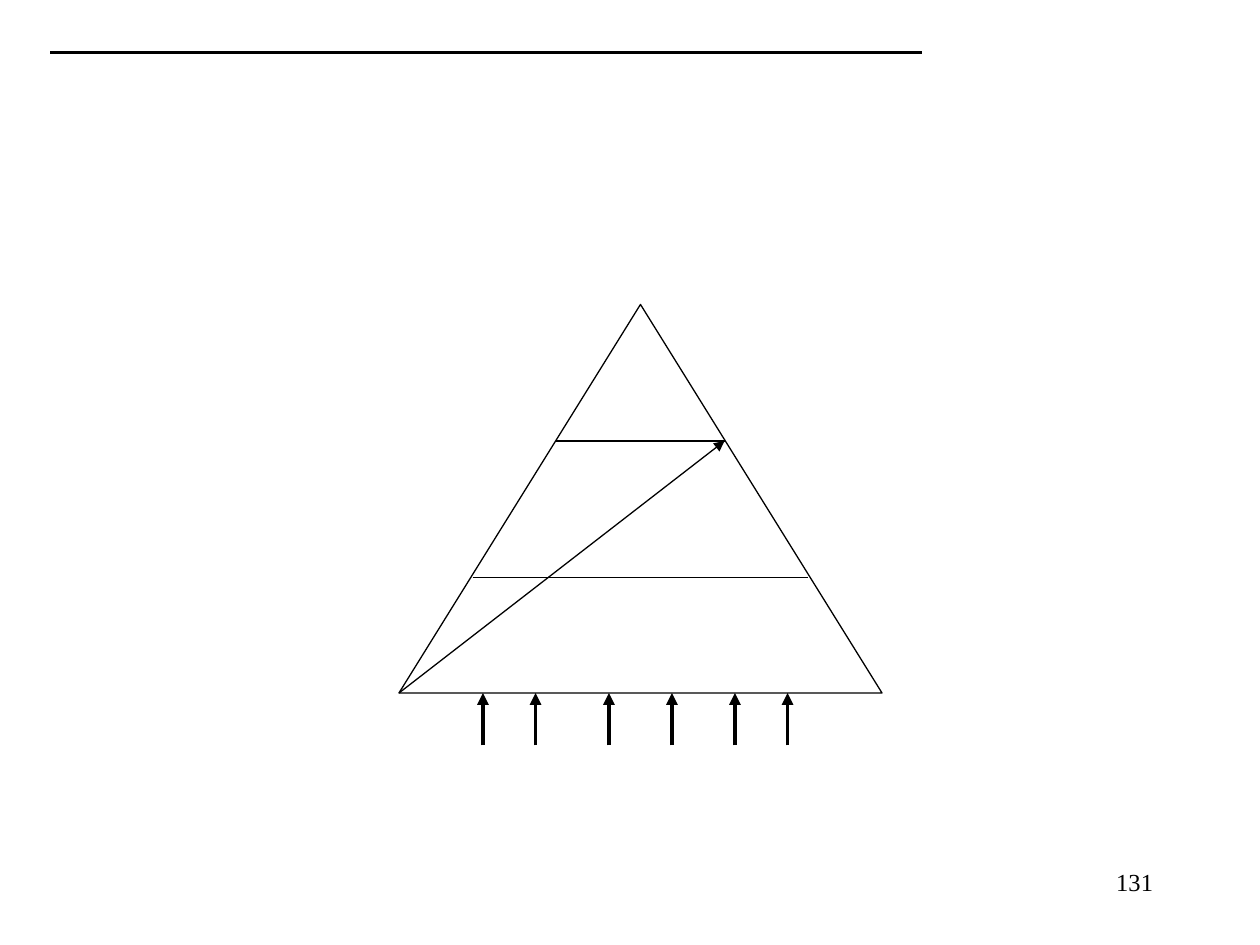
"""Build a slide with a three-level pyramid fed by arrows from below."""
from lxml import etree
from pptx import Presentation
from pptx import util as u
from pptx.dml.color import RGBColor
from pptx.enum import shapes, text
from pptx.oxml import ns

BLACK = RGBColor(0, 0, 0)
WHITE = RGBColor(255, 255, 255)
BASE = 396


def add_line(parent, start, end, width, arrow=False):
    line = parent.shapes.add_connector(
        shapes.MSO_CONNECTOR.STRAIGHT, *(u.Pt(value) for value in start + end))
    line.line.color.rgb = BLACK
    line.line.width = u.Pt(width)
    if arrow:
        outline = line.line._get_or_add_ln()
        etree.SubElement(outline, ns.qn("a:tailEnd"), type="triangle")
    etree.SubElement(line._element.spPr, ns.qn("a:effectLst"))


deck = Presentation()
deck.slide_width, deck.slide_height = u.Pt(720), u.Pt(540)
page = deck.slides.add_slide(deck.slide_layouts[6])

add_line(page, (28.8, 30), (527, 30), 1.5)

pyramid = page.shapes.add_group_shape()
triangle = pyramid.shapes.add_shape(
    shapes.MSO_SHAPE.ISOSCELES_TRIANGLE, u.Pt(228), u.Pt(174), u.Pt(276), u.Pt(BASE - 174))
triangle.shadow.inherit = False
triangle.fill.solid()
triangle.fill.fore_color.rgb = WHITE
triangle.line.color.rgb = BLACK
triangle.line.width = u.Pt(0.75)

add_line(pyramid, (228, BASE), (414, 252), 0.75, arrow=True)
for left, right, level in ((318, 414, 252), (270, 462, 330)):
    add_line(pyramid, (left, level), (right, level), 0.75)
for x in (276, 306, 348, 384, 420, 450):
    add_line(pyramid, (x, BASE + 30), (x, BASE), 2.25, arrow=True)

box = page.shapes.add_textbox(u.Pt(516), u.Pt(492), u.Pt(150), u.Pt(36))
box.text_frame.word_wrap = True
para = box.text_frame.paragraphs[0]
para.alignment = text.PP_ALIGN.RIGHT
span = para.add_run()
span.text = "131"
span.font.name = "Times New Roman"
span.font.size = u.Pt(14)
span.font.color.rgb = BLACK

deck.save("out.pptx")
